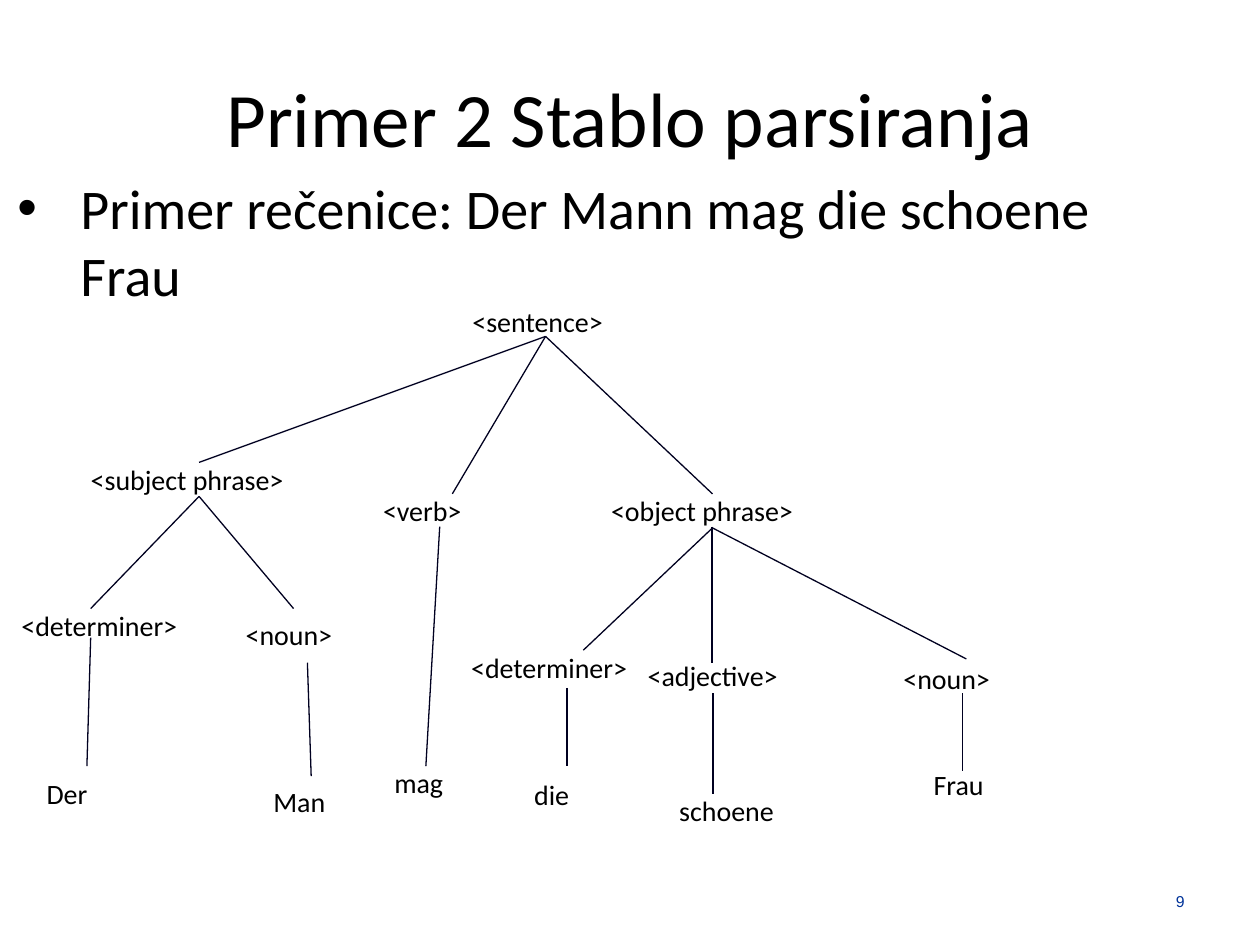
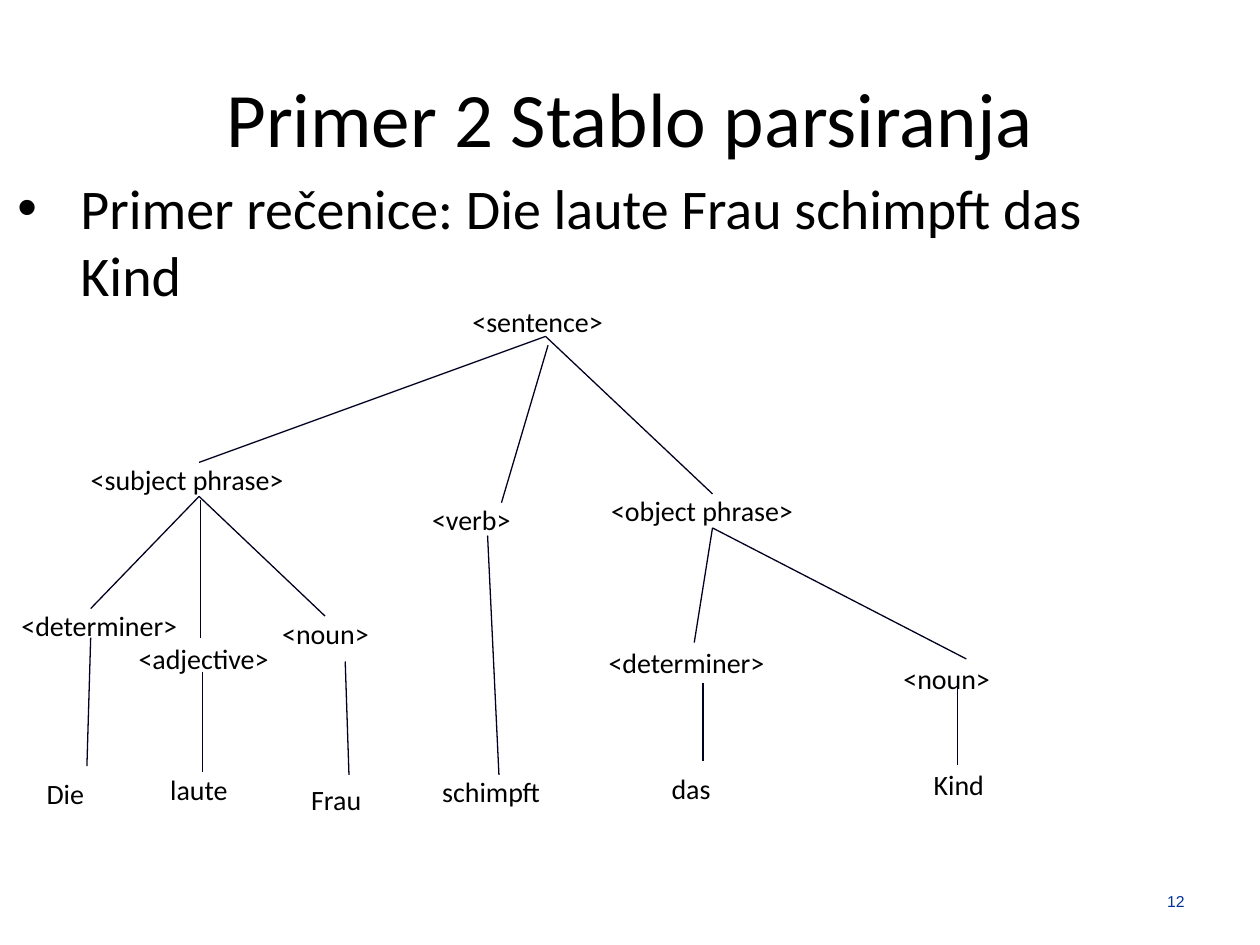
from dataclasses import dataclass

from lxml.etree import SubElement
from pptx import Presentation
from pptx.dml.color import RGBColor
from pptx.enum.shapes import MSO_CONNECTOR as Connector
from pptx.enum.text import MSO_ANCHOR as Anchor, PP_ALIGN as Align
from pptx.oxml.ns import qn
from pptx.util import Inches, Pt


@dataclass(frozen=True)
class Theme:
    """Fonts, type sizes and colours shared by the slides."""
    font: str = "Calibri"
    number_font: str = "Arial"
    title: float = 44
    body: float = 32
    node: float = 16
    number: float = 9
    ink: str = "000000"
    branch: str = "000020"
    number_ink: str = "003399"
    branch_width: float = 0.75


@dataclass(frozen=True)
class Box:
    """A rectangle in inches."""
    x: float
    y: float
    w: float
    h: float

    def inside(self, x, y, w, h):
        """Return a box placed relative to this one."""
        return Box(self.x + x, self.y + y, w, h)


THEME = Theme()
PAGE = Box(0, 0, 10, 7.5)
TREE = Box(0, 2, 10, 4.75)
BOTTOM, TOP = 2, 0

NODE_SIZES = {
    "<sentence>": (1.76, 0.4), "<subject phrase>": (1.72, 0.27),
    "<object phrase>": (1.61, 0.27), "<verb>": (1.1, 0.4),
    "<noun>": (1.1, 0.4), "<determiner>": (1.34, 0.27),
    "<adjective>": (1.15, 0.27),
}
WORD_WIDTHS = {
    "Der": 0.36, "Man": 0.44, "mag": 0.5, "die": 0.3, "schoene": 0.85,
    "Frau": 0.46, "Die": 0.33, "laute": 0.55, "schimpft": 0.9,
    "das": 0.36, "Kind": 0.45,
}
WORD_HEIGHT = 0.27

SHARED_NODES = {
    "sentence": ("<sentence>", 3.75, 0.42),
    "subject": ("<subject phrase>", 0.72, 1.67),
    "object": ("<object phrase>", 4.85, 1.92),
    "subject determiner": ("<determiner>", 0.17, 2.83),
    "object noun": ("<noun>", 7.17, 3.25),
}
SHARED_BRANCHES = [
    ((4.33, 0.67), "subject"),
    ((4.33, 0.67), "object"),
    ("subject", (0.72, 2.83)),
    ("object", (7.67, 3.23)),
    ((0.72, 3.06), (0.69, 4.08)),
]

MANN_NODES = {
    "verb": ("<verb>", 3.04, 1.92),
    "subject noun": ("<noun>", 1.95, 2.9),
    "object determiner": ("<determiner>", 3.74, 3.16),
    "adjective": ("<adjective>", 5.14, 3.23),
    "subject article": ("Der", 0.37, 4.16),
    "subject word": ("Man", 2.17, 4.23),
    "verb word": ("mag", 3.13, 4.08),
    "object article": ("die", 4.24, 4.17),
    "adjective word": ("schoene", 5.39, 4.3),
    "object word": ("Frau", 7.41, 4.09),
}
MANN_BRANCHES = [
    ((4.33, 0.67), "verb"),
    ("subject", (2.33, 2.83)),
    ("object", (4.63, 3.16)),
    ((5.65, 2.18), (5.65, 3.26)),
    ((2.44, 3.26), (2.47, 4.16)),
    ((3.49, 2.18), "verb word"),
    ((4.5, 3.46), (4.5, 4.08)),
    ((5.66, 3.5), (5.66, 4.3)),
    ((7.64, 3.5), (7.64, 4.12)),
]

FRAU_NODES = {
    "verb": ("<verb>", 3.43, 1.99),
    "subject noun": ("<noun>", 2.24, 2.89),
    "adjective": ("<adjective>", 1.1, 3.09),
    "object determiner": ("<determiner>", 4.83, 3.12),
    "subject article": ("Die", 0.37, 4.16),
    "adjective word": ("laute", 1.35, 4.13),
    "subject word": ("Frau", 2.47, 4.21),
    "verb word": ("schimpft", 3.51, 4.15),
    "object article": ("das", 5.33, 4.12),
    "object word": ("Kind", 7.41, 4.09),
}
FRAU_BRANCHES = [
    ((4.35, 0.74), "verb"),
    ("subject", (2.58, 2.89)),
    ((1.59, 1.97), (1.59, 3.06)),
    ("object", (5.51, 3.1)),
    ((2.74, 3.25), (2.77, 4.15)),
    ((1.61, 3.33), (1.61, 4.13)),
    ((3.87, 2.25), "verb word"),
    ((5.58, 3.42), (5.58, 4.04)),
    ((7.6, 3.45), (7.6, 4.07)),
]


def add_text(s, box, text, size, font=THEME.font, color=THEME.ink,
             align=Align.LEFT, anchor=Anchor.TOP, inset=None, bullet=False):
    """Add a text box holding one run."""
    sp = s.shapes.add_textbox(*map(Inches, (box.x, box.y, box.w, box.h)))
    tf = sp.text_frame
    tf.word_wrap = True
    tf.vertical_anchor = anchor
    if inset is not None:
        tf.margin_left = tf.margin_right = Inches(inset)
        tf.margin_top = tf.margin_bottom = Inches(inset)
    p = tf.paragraphs[0]
    p.alignment = align
    if bullet:
        add_bullet(p)
    r = p.add_run()
    r.text = text
    r.font.size = Pt(size)
    r.font.name = font
    r.font.color.rgb = RGBColor.from_string(color)
    return sp


def add_bullet(p):
    """Give a paragraph a round bullet with a hanging indent."""
    props = p._p.get_or_add_pPr()
    props.set("marL", str(Inches(0.54)))
    props.set("indent", str(Inches(-0.5)))
    SubElement(props, qn("a:buFont")).set("typeface", "Arial")
    SubElement(props, qn("a:buChar")).set("char", "•")


def add_frame(s, page, sentence, number):
    """Add the title, the example sentence and the slide number."""
    add_text(s, page.inside(0.5, 0.3, 9, 1.25), "Primer 2 Stablo parsiranja",
             THEME.title, align=Align.CENTER, anchor=Anchor.MIDDLE)
    add_text(s, page.inside(0, 1.33, 9, 5.37),
             f"Primer rečenice: {sentence}", THEME.body, bullet=True)
    add_text(s, page.inside(7.17, 6.95, 2.33, 0.4), str(number),
             THEME.number, THEME.number_font, THEME.number_ink,
             Align.RIGHT, Anchor.MIDDLE)


def add_node(s, box, label, x, y):
    """Add one label of the parse tree."""
    w, h = NODE_SIZES.get(label) or (WORD_WIDTHS[label], WORD_HEIGHT)
    return add_text(s, box.inside(x, y, w, h), label, THEME.node, inset=0)


def add_branch(s, box, nodes, start, end):
    """Draw a branch between points or named nodes."""
    points = [(0, 0) if isinstance(e, str)
              else (Inches(box.x + e[0]), Inches(box.y + e[1]))
              for e in (start, end)]
    cn = s.shapes.add_connector(Connector.STRAIGHT, *points[0], *points[1])
    if isinstance(start, str):
        cn.begin_connect(nodes[start], BOTTOM)
    if isinstance(end, str):
        cn.end_connect(nodes[end], TOP)
    cn.line.color.rgb = RGBColor.from_string(THEME.branch)
    cn.line.width = Pt(THEME.branch_width)
    SubElement(cn._element.spPr, qn("a:effectLst"))


def add_tree(s, box, nodes, branches):
    """Add the shared and the sentence's own parts of a parse tree."""
    placed = {name: add_node(s, box, *node)
              for name, node in (SHARED_NODES | nodes).items()}
    for start, end in SHARED_BRANCHES + branches:
        add_branch(s, box, placed, start, end)


def add_tree_slide(prs, sentence, number, nodes, branches):
    """Add a slide with a sentence and its parse tree."""
    s = prs.slides.add_slide(prs.slide_layouts[6])
    add_frame(s, PAGE, sentence, number)
    add_tree(s, TREE, nodes, branches)


def main():
    """Build and save the presentation."""
    prs = Presentation()
    prs.slide_width, prs.slide_height = Inches(PAGE.w), Inches(PAGE.h)
    add_tree_slide(prs, "Der Mann mag die schoene Frau", 9,
                   MANN_NODES, MANN_BRANCHES)
    add_tree_slide(prs, "Die laute Frau schimpft das Kind", 12,
                   FRAU_NODES, FRAU_BRANCHES)
    prs.save("out.pptx")


if __name__ == "__main__":
    main()
